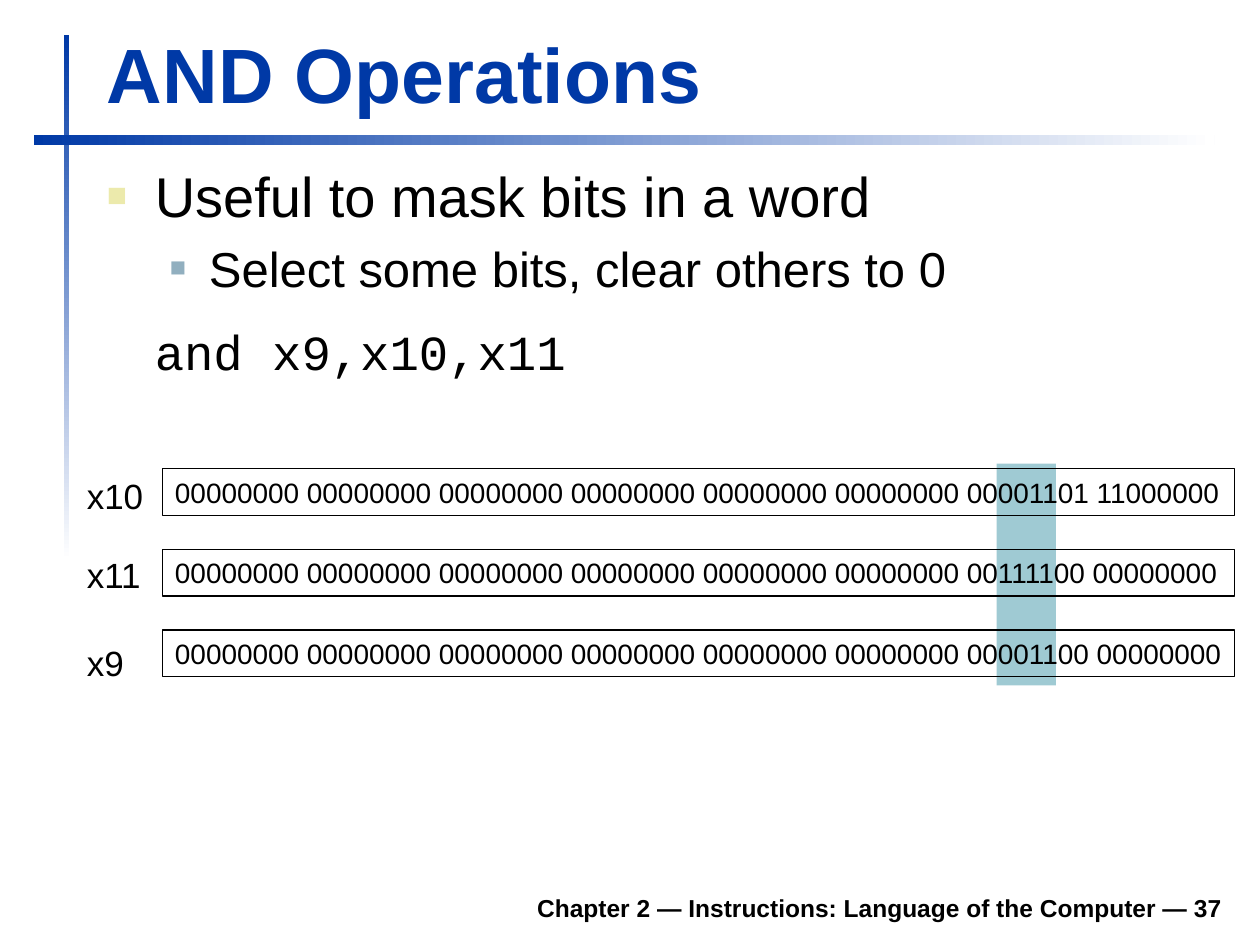
from dataclasses import dataclass

from lxml.etree import SubElement
from pptx import Presentation
from pptx.dml.color import RGBColor as Rgb
from pptx.enum.shapes import MSO_SHAPE as Preset
from pptx.enum.text import MSO_ANCHOR as Anchor, PP_ALIGN as Align
from pptx.oxml.ns import qn
from pptx.util import Inches, Pt

COLUMNS, ROWS = 100, 75  # square grid over the whole slide


@dataclass(frozen=True)
class Theme:
    blue: str = "0039A6"
    white: str = "FFFFFF"
    black: str = "000000"
    mask: str = "9FCAD3"
    bullet: str = "ECEAAC"
    sub_bullet: str = "91AFBF"
    sans: str = "Arial"
    mono: str = "Courier New"
    title: int = 44
    body: int = 32
    detail: int = 28
    label: int = 20
    bits: int = 16
    footer: int = 14


THEME = Theme()


@dataclass(frozen=True)
class Area:
    column: float
    row: float
    columns: float
    rows: float


@dataclass(frozen=True)
class Line:
    text: str
    size: int
    margin: float
    before: int
    hang: float = 0
    after: int = 0
    level: int = 0
    font: str = THEME.sans
    bullet: str = ""
    bullet_share: int = 100


@dataclass(frozen=True)
class Register:
    name: str
    low_bytes: str
    label_row: float


LINES = [
    Line("Useful to mask bits in a word", THEME.body, 0.38, 20, hang=0.38,
         bullet=THEME.bullet, bullet_share=60),
    Line("Select some bits, clear others to 0", THEME.detail, 0.81, 20, hang=0.31,
         level=1, bullet=THEME.sub_bullet, bullet_share=55),
    Line("and x9,x10,x11", THEME.detail, 0.38, 50, after=30, font=THEME.mono),
]
REGISTERS = [
    Register("x10", "00001101 11000000", 37.2),
    Register("x11", "00111100 00000000", 43.4),
    Register("x9", "00001100 00000000", 50.4),
]
FIRST_ROW, ROW_STEP = 37.2, 6.4
HIGH_BYTES = "00000000 " * 6

deck = Presentation()
deck.slide_width, deck.slide_height = Inches(10), Inches(7.5)
page = deck.slides.add_slide(deck.slide_layouts[6])


def place(area: Area) -> tuple[int, int, int, int]:
    cell_width, cell_height = deck.slide_width / COLUMNS, deck.slide_height / ROWS
    return (round(area.column * cell_width), round(area.row * cell_height),
            round(area.columns * cell_width), round(area.rows * cell_height))


def style(para, size: int, color: str = THEME.black, bold: bool = False,
          font: str = THEME.sans) -> None:
    for span in para.runs:
        span.font.size, span.font.name, span.font.bold = Pt(size), font, bold
        span.font.color.rgb = Rgb.from_string(color)


def add_rectangle(area: Area):
    box = page.shapes.add_shape(Preset.RECTANGLE, *place(area))
    box.shadow.inherit = False
    box.line.fill.background()
    return box


def add_fading_bar(area: Area, angle: int) -> None:
    fill = add_rectangle(area).fill
    fill.gradient()
    fill.gradient_angle = angle
    for stop, color in zip(fill.gradient_stops, (THEME.blue, THEME.white)):
        stop.color.rgb = Rgb.from_string(color)


def add_text(area: Area, text: str, size: int, color: str = THEME.black,
             bold: bool = False, anchor=Anchor.TOP, align=Align.LEFT,
             wrap: bool = True) -> None:
    frame = page.shapes.add_textbox(*place(area)).text_frame
    frame.text, frame.word_wrap, frame.vertical_anchor = text, wrap, anchor
    frame.paragraphs[0].alignment = align
    style(frame.paragraphs[0], size, color, bold)


def format_line(para, line: Line) -> None:
    para.text, para.level = line.text, line.level
    style(para, line.size, font=line.font)
    props = para._p.get_or_add_pPr()
    props.set("marL", str(Inches(line.margin)))
    props.set("indent", str(-Inches(line.hang)))
    for tag, share in (("a:spcBef", line.before), ("a:spcAft", line.after)):
        SubElement(SubElement(props, qn(tag)), qn("a:spcPct"), val=str(share * 1000))
    if line.bullet:
        SubElement(SubElement(props, qn("a:buClr")), qn("a:srgbClr"), val=line.bullet)
        SubElement(props, qn("a:buSzPct"), val=str(line.bullet_share * 1000))
        SubElement(props, qn("a:buFont"), typeface=THEME.sans)
        SubElement(props, qn("a:buChar"), char="■")
    else:
        SubElement(props, qn("a:buNone"))


def add_body(area: Area, lines: list[Line]) -> None:
    frame = page.shapes.add_textbox(*place(area)).text_frame
    frame.word_wrap = True
    for index, line in enumerate(lines):
        format_line(frame.add_paragraph() if index else frame.paragraphs[0], line)


def add_register(register: Register, row: float) -> None:
    box = add_rectangle(Area(12.9, row, 85.1, 3.7))
    box.fill.background()
    box.line.color.rgb = Rgb.from_string(THEME.black)
    box.line.width = Pt(0.75)
    frame = box.text_frame
    frame.text, frame.vertical_anchor = HIGH_BYTES + register.low_bytes, Anchor.MIDDLE
    frame.paragraphs[0].alignment = Align.LEFT
    style(frame.paragraphs[0], THEME.bits)
    add_text(Area(5.9, register.label_row, 6.5, 4.4), register.name, THEME.label,
             wrap=False)


# Crossed bars and footer
add_fading_bar(Area(5.1, 2.8, 0.4, 41.7), angle=270)
add_fading_bar(Area(2.7, 10.7, 93.7, 0.8), angle=0)
add_text(Area(18.5, 69.8, 79.5, 3.9),
         "Chapter 2 — Instructions: Language of the Computer — 37",
         THEME.footer, bold=True, anchor=Anchor.BOTTOM, align=Align.RIGHT)

# Masked bits, behind the registers
mask = add_rectangle(Area(79.1, 36.8, 4.7, 17.6))
mask.fill.solid()
mask.fill.fore_color.rgb = Rgb.from_string(THEME.mask)

# Title and body
add_text(Area(7.5, 1.6, 90.3, 8.3), "AND Operations", THEME.title, THEME.blue,
         bold=True, anchor=Anchor.BOTTOM)
add_body(Area(7.5, 12.3, 90.5, 22.7), LINES)

# Registers
for index, register in enumerate(REGISTERS):
    add_register(register, FIRST_ROW + index * ROW_STEP)

deck.save("out.pptx")
